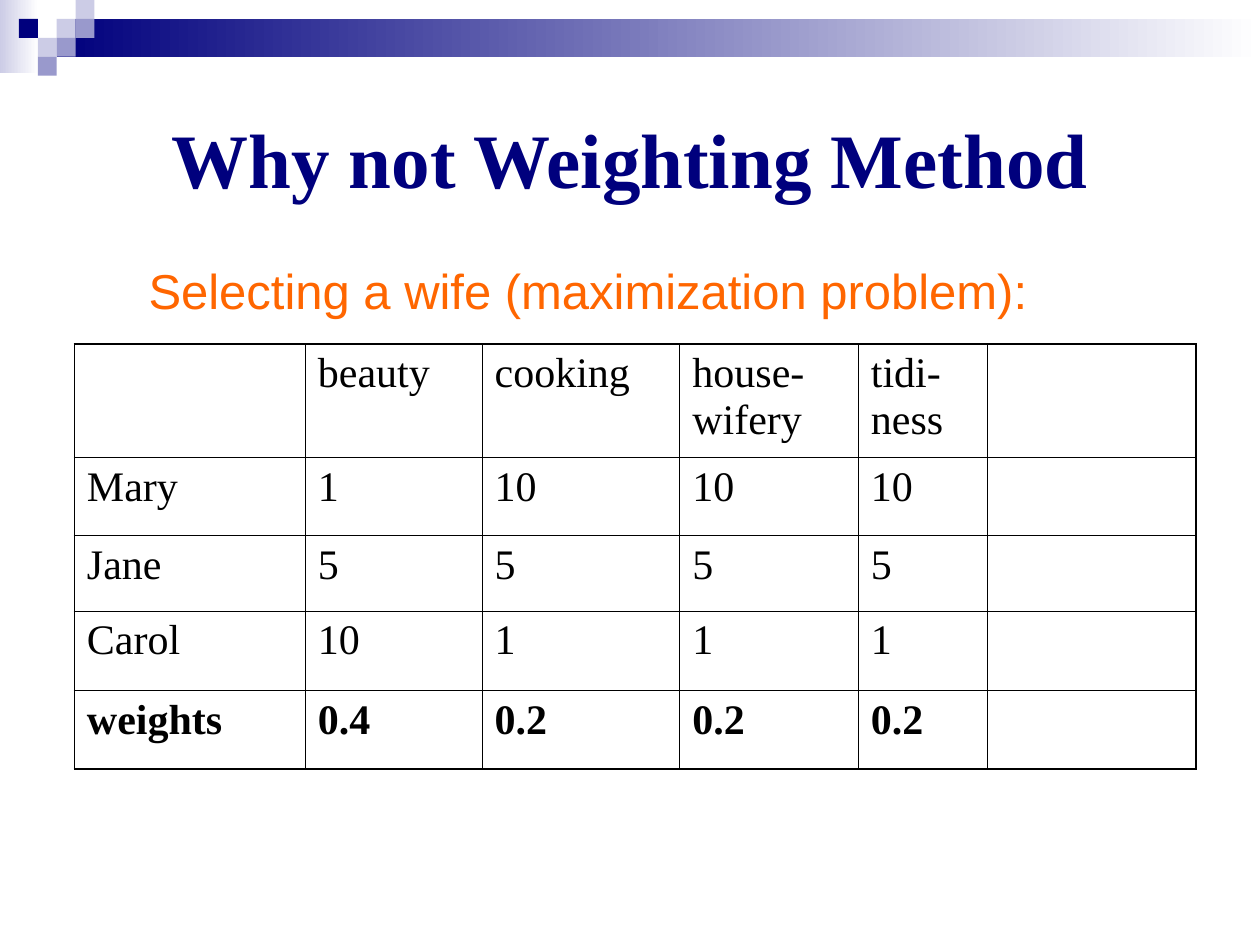
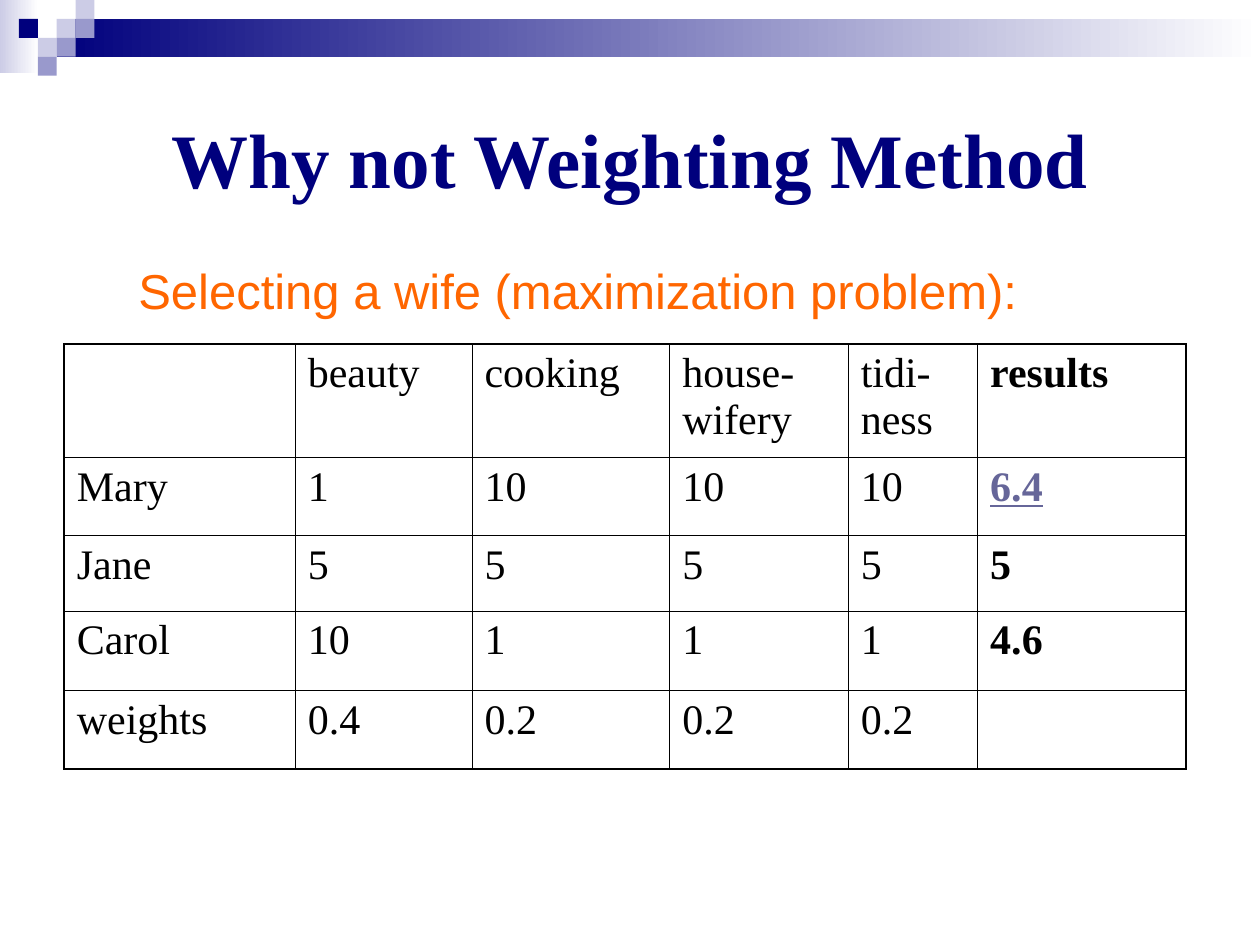
from dataclasses import dataclass
from typing import Any

from lxml import etree
from pptx import Presentation
from pptx import util as u
from pptx.dml.color import RGBColor
from pptx.enum import shapes, text
from pptx.oxml import ns

Pt = u.Pt

# Shared look
COLORS = {
    "navy": "00007D",
    "periwinkle": "9999CC",
    "lavender": "CCCCE6",
    "white": "FFFFFF",
    "black": "000000",
    "orange": "FF6600",
    "winner": "666699",
}
SERIF, SANS = "Times New Roman", "Arial"
TITLE_FORMAT = {"name": SERIF, "size": Pt(44), "bold": True}
SUBTITLE_FORMAT = {"name": SANS, "size": Pt(28), "bold": False}
CELL_FORMAT = {"name": SERIF, "size": Pt(24), "bold": False}
TITLE_ONLY = 5
UNIT = 10.8  # side of a mosaic square, in points

# Table layout, in points
COLUMN_WIDTHS = [132, 101, 113, 102, 74, 119]
ROW_HEIGHTS = [65, 44.5, 43, 45.5, 45]
TABLE_TOP = 196.6
SUBTITLE_INDENT = 35.3
INNER_LINE, OUTER_LINE = 0.45, 1.08

# Content
TITLE = "Why not Weighting Method"
SUBTITLE = "Selecting a wife (maximization problem):"
SCORES = [
    ["", "beauty", "cooking", "house-wifery", "tidi-ness"],
    ["Mary", "1", "10", "10", "10"],
    ["Jane", "5", "5", "5", "5"],
    ["Carol", "10", "1", "1", "1"],
    ["weights", "0.4", "0.2", "0.2", "0.2"],
]


@dataclass
class Square:
    column: int
    row: int
    color: str


@dataclass
class ScoreSlide:
    table_left: float
    results: list[str]
    bold_weights: bool
    winner_row: int | None = None


SQUARES = [
    Square(3, 1, "lavender"),
    Square(4, 0, "lavender"),
    Square(4, 1, "periwinkle"),
    Square(2, 2, "lavender"),
    Square(1, 1, "navy"),
    Square(3, 2, "periwinkle"),
    Square(2, 3, "periwinkle"),
]
SLIDES = [
    ScoreSlide(42.5, ["", "", "", "", ""], bold_weights=True),
    ScoreSlide(36.7, ["results", "6.4", "5", "4.6", ""], bold_weights=False, winner_row=1),
]


def rgb(color: str) -> RGBColor:
    return RGBColor.from_string(COLORS[color])


def write(frame: Any, words: str, font_format: dict[str, Any], color: str,
          alignment: Any = text.PP_ALIGN.LEFT) -> None:
    """Put one formatted paragraph into a text frame."""
    frame.text = words
    paragraph = frame.paragraphs[0]
    paragraph.alignment = alignment
    font = paragraph.runs[0].font
    for attribute, value in font_format.items():
        setattr(font, attribute, value)
    font.color.rgb = rgb(color)


# Decoration
def add_rectangle(group: Any, left: float, top: float, width: float, height: float) -> Any:
    shape = group.shapes.add_shape(
        shapes.MSO_SHAPE.RECTANGLE, Pt(left), Pt(top), Pt(width), Pt(height))
    shape.shadow.inherit = False
    shape.line.fill.background()
    return shape


def add_fading_band(group: Any, left: float, top: float, width: float, height: float,
                    color: str) -> None:
    fill = add_rectangle(group, left, top, width, height).fill
    fill.gradient()
    fill.gradient_angle = 180
    for stop, name in zip(fill.gradient_stops, ("white", color)):
        stop.color.rgb = rgb(name)


def decorate_layout(layout: Any, slide: Any) -> None:
    """Draw the bands and mosaic on a slide, then hand them to its layout."""
    group = slide.shapes.add_group_shape()
    add_fading_band(group, 0, 0, 22, 42, "lavender")
    add_fading_band(group, 3 * UNIT, UNIT, 720 - 3 * UNIT, 2 * UNIT, "navy")
    for square in SQUARES:
        shape = add_rectangle(group, square.column * UNIT, square.row * UNIT, UNIT, UNIT)
        shape.fill.solid()
        shape.fill.fore_color.rgb = rgb(square.color)
    layout.shapes.element.insert(2, group.element)


# Slide parts
def set_title(slide: Any) -> None:
    title = slide.shapes.title
    title.left, title.top, title.width, title.height = Pt(54.7), Pt(43.2), Pt(610.6), Pt(93.6)
    title.text_frame.vertical_anchor = text.MSO_ANCHOR.MIDDLE
    write(title.text_frame, TITLE, TITLE_FORMAT, "navy", text.PP_ALIGN.CENTER)


def add_subtitle(slide: Any, left: float) -> None:
    frame = slide.shapes.add_textbox(Pt(left), Pt(145.4), Pt(516.2), Pt(41)).text_frame
    frame.word_wrap = False
    frame.auto_size = text.MSO_AUTO_SIZE.SHAPE_TO_FIT_TEXT
    write(frame, SUBTITLE, SUBTITLE_FORMAT, "orange")


def set_borders(cell: Any, outer_sides: dict[str, bool]) -> None:
    properties = cell._tc.get_or_add_tcPr()
    for side, is_outer in outer_sides.items():
        width = Pt(OUTER_LINE if is_outer else INNER_LINE)
        line = etree.SubElement(properties, ns.qn(f"a:ln{side}"), w=str(width))
        fill = etree.SubElement(line, ns.qn("a:solidFill"))
        etree.SubElement(fill, ns.qn("a:srgbClr"), val=COLORS["black"])


def add_score_table(slide: Any, content: ScoreSlide) -> None:
    rows = [scores + [result] for scores, result in zip(SCORES, content.results)]
    last_row, last_column = len(rows) - 1, len(COLUMN_WIDTHS) - 1
    table = slide.shapes.add_table(
        len(rows), len(COLUMN_WIDTHS), Pt(content.table_left), Pt(TABLE_TOP),
        Pt(sum(COLUMN_WIDTHS)), Pt(sum(ROW_HEIGHTS))).table
    table.first_row = table.horz_banding = False
    for column, width in zip(table.columns, COLUMN_WIDTHS):
        column.width = Pt(width)
    for row, height in zip(table.rows, ROW_HEIGHTS):
        row.height = Pt(height)

    for r, row_words in enumerate(rows):
        for c, words in enumerate(row_words):
            cell = table.cell(r, c)
            set_borders(cell, {"L": c == 0, "R": c == last_column,
                               "T": r == 0, "B": r == last_row})
            cell.fill.background()
            if not words:
                continue
            is_result = c == last_column
            is_winner = is_result and r == content.winner_row
            is_bold = is_result or (r == last_row and content.bold_weights)
            cell_format = CELL_FORMAT | {"bold": is_bold, "underline": is_winner}
            write(cell.text_frame, words, cell_format, "winner" if is_winner else "black")


def main() -> None:
    presentation = Presentation()
    presentation.slide_width, presentation.slide_height = Pt(720), Pt(540)
    layout = presentation.slide_layouts[TITLE_ONLY]
    for index, content in enumerate(SLIDES):
        slide = presentation.slides.add_slide(layout)
        if index == 0:
            decorate_layout(layout, slide)
        set_title(slide)
        add_score_table(slide, content)
        add_subtitle(slide, content.table_left + SUBTITLE_INDENT)
    presentation.save("out.pptx")


if __name__ == "__main__":
    main()
